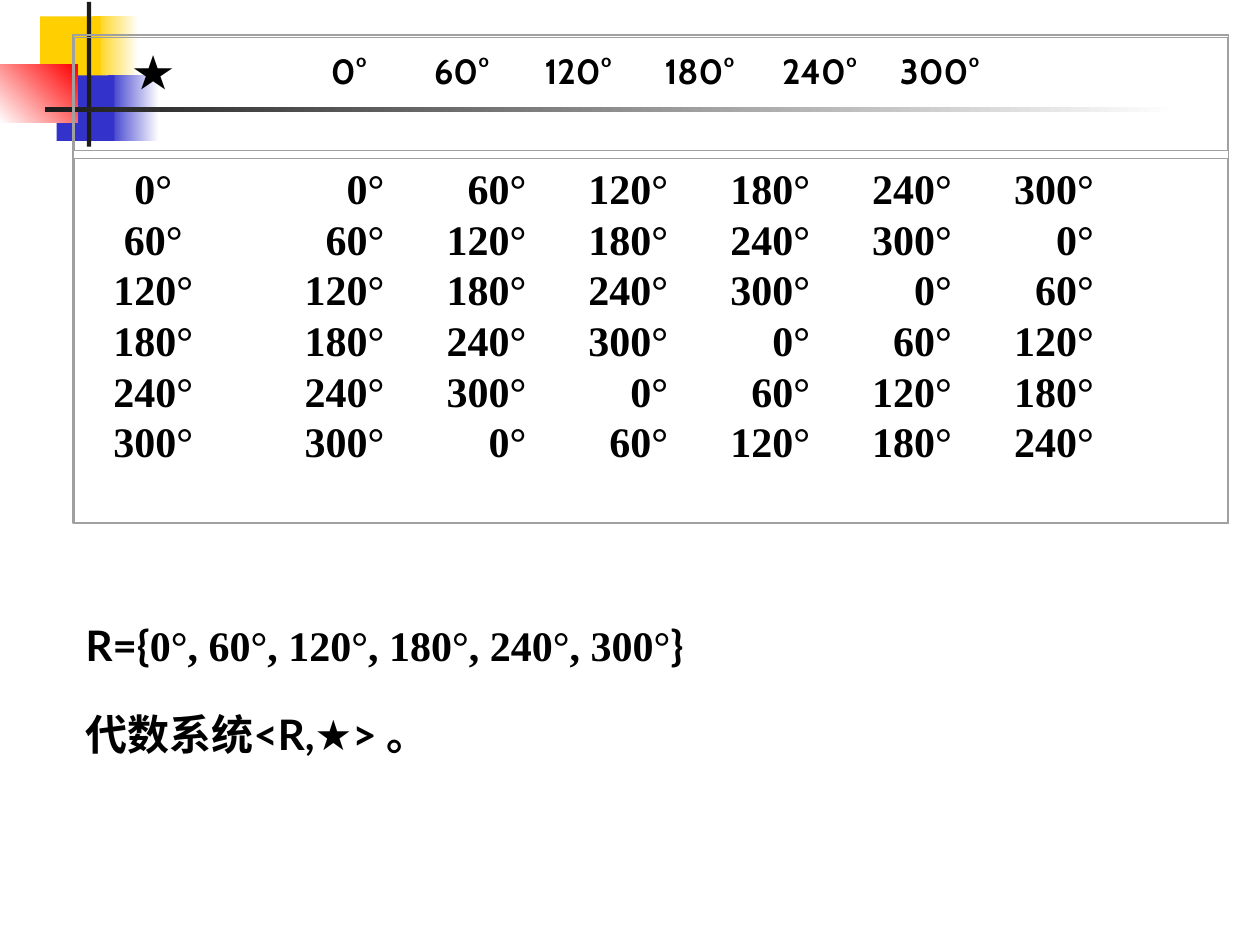
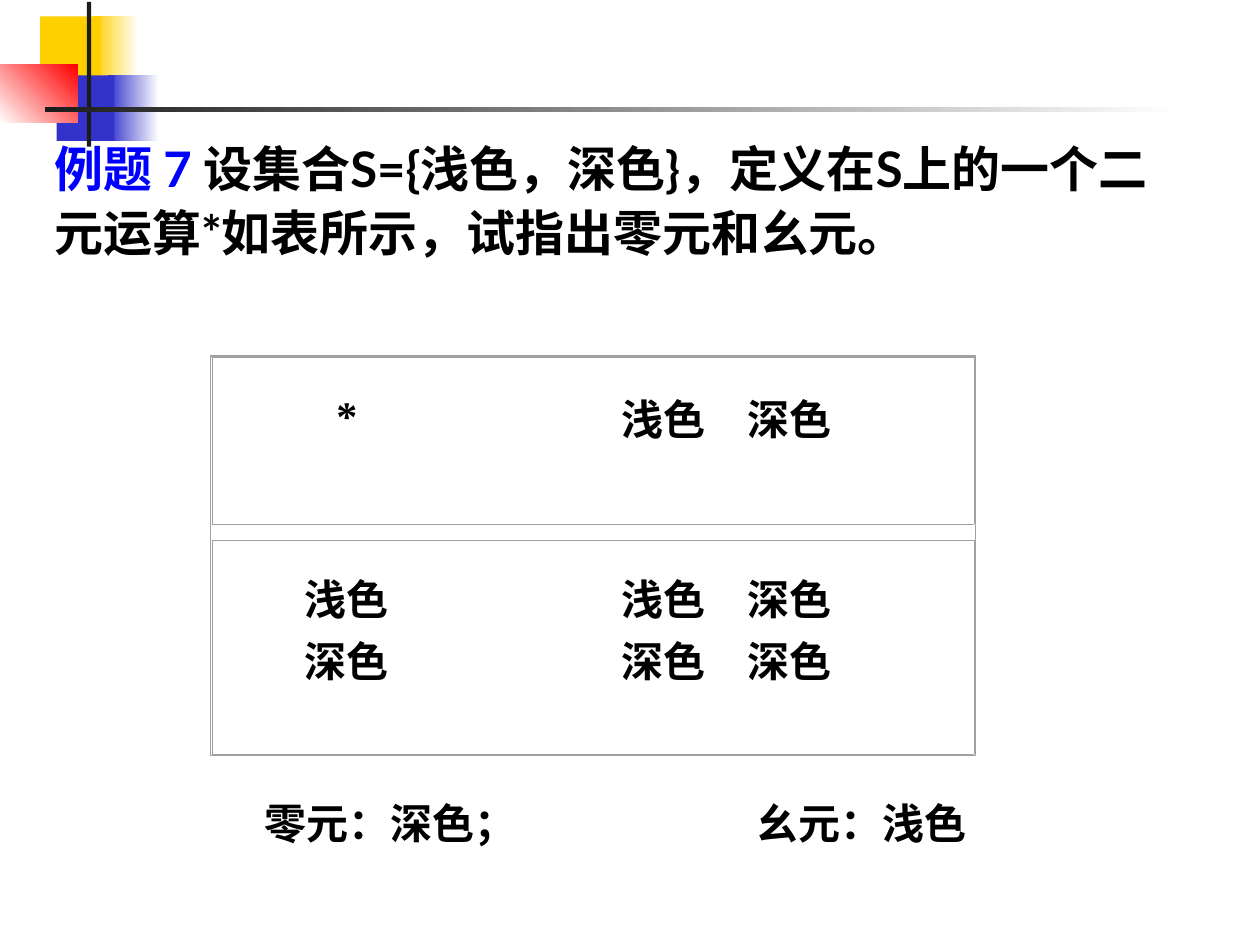
from dataclasses import dataclass

from lxml import etree
from pptx import Presentation
from pptx.dml.color import RGBColor
from pptx.enum.shapes import MSO_SHAPE
from pptx.enum.text import MSO_ANCHOR, MSO_AUTO_SIZE, PP_ALIGN
from pptx.oxml.ns import qn
from pptx.util import Cm, Pt

RECT = MSO_SHAPE.RECTANGLE
TOP, MIDDLE = MSO_ANCHOR.TOP, MSO_ANCHOR.MIDDLE
LEFT, CENTER, RIGHT = PP_ALIGN.LEFT, PP_ALIGN.CENTER, PP_ALIGN.RIGHT
NO_FIT = MSO_AUTO_SIZE.NONE

BLACK = RGBColor(0x00, 0x00, 0x00)
WHITE = RGBColor(0xFF, 0xFF, 0xFF)
YELLOW = RGBColor(0xFF, 0xCF, 0x01)
INDIGO = RGBColor(0x33, 0x33, 0xCC)
RED = RGBColor(0xFF, 0x00, 0x00)
INK = RGBColor(0x1C, 0x1C, 0x1C)
BLUE = RGBColor(0x00, 0x00, 0xFF)
GREY = RGBColor(0xA0, 0xA0, 0xA0)

SERIF, SANS, ROUND = "Times New Roman", "Lato", "Cabin"

ORNAMENT = [
    ((1.88, 0.33, 0.91, 1.32), (YELLOW, WHITE), 0),
    ((2.18, 1.52, 1.02, 1.32), (INDIGO, WHITE), 0),
    ((0.81, 0.33, 1.22, 1.32), (YELLOW,), 0),
    ((1.14, 1.52, 1.17, 1.32), (INDIGO,), 0),
    ((0, 1.31, 1.56, 1.17), (WHITE, RED), 45),
    ((1.75, 0.04, 0.09, 2.92), (INK,), 0),
    ((0.91, 2.16, 22.86, 0.09), (INK, WHITE), 0),
]


@dataclass
class Band:
    """Rows of an operation table, with their spacing and column rule in cm."""
    rows: list
    lead: float
    pitch: float
    tail: float
    first_edge: float
    column: float
    font: str = SERIF
    size: int = 24

    @property
    def height(self):
        """Return the full height of the band."""
        return self.lead + self.pitch * len(self.rows) + self.tail


def cm(box):
    """Turn a box in cm into lengths."""
    return [Cm(v) for v in box]


def add_run(p, text, font=SERIF, size=24, color=BLACK):
    """Add a bold run to a paragraph."""
    r = p.add_run()
    r.text = text
    r.font.name, r.font.size, r.font.bold = font, Pt(size), True
    r.font.color.rgb = color


def set_frame(sp, box):
    """Place a text shape and make its text wrap from the top."""
    sp.left, sp.top, sp.width, sp.height = cm(box)
    tf = sp.text_frame
    tf.word_wrap, tf.auto_size, tf.vertical_anchor = True, NO_FIT, TOP
    return tf


def add_ornament(s):
    """Draw the coloured squares and crossing bars of the theme."""
    for box, colors, angle in ORNAMENT:
        sp = s.shapes.add_shape(RECT, *cm(box))
        sp.shadow.inherit = False
        sp.line.fill.background()
        if len(colors) == 1:
            sp.fill.solid()
            sp.fill.fore_color.rgb = colors[0]
            continue
        sp.fill.gradient()
        sp.fill.gradient_angle = angle
        for stop, color in zip(sp.fill.gradient_stops, colors):
            stop.color.rgb = color


def set_borders(cell, visible):
    """Draw hairlines on the visible sides of a cell and clear the others."""
    tcPr = cell._tc.get_or_add_tcPr()
    for i, side in enumerate("LRTB"):
        ln = etree.Element(qn(f"a:ln{side}"), w=str(Pt(0.25)))
        if side in visible:
            fill = etree.SubElement(ln, qn("a:solidFill"))
            etree.SubElement(fill, qn("a:srgbClr"), val=str(GREY))
        else:
            etree.SubElement(ln, qn("a:noFill"))
        tcPr.insert(i, ln)


def add_band(s, left, top, width, stub, band):
    """Add one band as a table with a centred stub and right-aligned values."""
    n_rows, n_cols = len(band.rows), len(band.rows[0])
    table = s.shapes.add_table(n_rows, n_cols, *cm((left, top, width, band.height))).table
    table.first_row = table.horz_banding = False
    rest = width - band.first_edge - band.column * (n_cols - 2)
    widths = [stub, band.first_edge - stub] + [band.column] * (n_cols - 2)
    widths[-1] += rest
    for column, w in zip(table.columns, widths):
        column.width = Cm(w)
    for i, values in enumerate(band.rows):
        first, last = i == 0, i == n_rows - 1
        lead, tail = band.lead * first, band.tail * last
        table.rows[i].height = Cm(lead + band.pitch + tail)
        for j, value in enumerate(values):
            cell = table.cell(i, j)
            cell.fill.background()
            cell.vertical_anchor = MIDDLE
            cell.margin_left = 0
            cell.margin_right = Cm(rest if j == n_cols - 1 else 0)
            cell.margin_top, cell.margin_bottom = Cm(lead), Cm(tail)
            set_borders(cell, "L" * (j == 0) + "R" * (j in (0, n_cols - 1))
                        + "T" * first + "B" * last)
            p = cell.text_frame.paragraphs[0]
            p.alignment = RIGHT if j else CENTER
            if j:
                add_run(p, value, band.font, band.size)
            else:
                add_run(p, value)


def add_operation_table(s, left, top, width, stub, gap, header, body):
    """Stack header and body bands inside a thin frame."""
    add_band(s, left, top, width, stub, header)
    add_band(s, left, top + header.height + gap, width, stub, body)
    height = header.height + gap + body.height
    sp = s.shapes.add_shape(RECT, *cm((left - 0.03, top - 0.03, width + 0.06, height + 0.06)))
    sp.shadow.inherit = False
    sp.fill.background()
    sp.line.color.rgb, sp.line.width = GREY, Pt(0.88)


def add_statements(s, box):
    """Fill the body placeholder with the set and its algebraic system."""
    tf = set_frame(s.placeholders[1], box)
    lines = [
        [("R={", SANS), ("0°, 60°, 120°, 180°, 240°, 300°", SERIF), ("}", SANS)],
        [("代数系统<R,★> 。", SANS)],
    ]
    for i, runs in enumerate(lines):
        p = tf.add_paragraph() if i else tf.paragraphs[0]
        pPr = p._p.get_or_add_pPr()
        pPr.set("marL", "0")
        pPr.set("indent", "0")
        etree.SubElement(pPr, qn("a:buNone"))
        p.line_spacing, p.space_before = 1.25, Pt(15 * i)
        for text, font in runs:
            add_run(p, text, font)


def add_problem(s, box):
    """Set the problem in the title placeholder."""
    p = set_frame(s.shapes.title, box).paragraphs[0]
    p.alignment, p.line_spacing = LEFT, 1.1
    add_run(p, "例题 7 ", SANS, 28, BLUE)
    add_run(p, "设集合S={浅色，深色}，定义在S上的一个二元运算*如表所示，试指出零元和幺元。",
            SANS, 28)


def add_answers(s, box, tab):
    """Write the two answers on one line, the second at a tab stop."""
    tf = set_frame(s.shapes.add_textbox(*cm(box)), box)
    p = tf.paragraphs[0]
    tabs = etree.SubElement(p._p.get_or_add_pPr(), qn("a:tabLst"))
    etree.SubElement(tabs, qn("a:tab"), pos=str(Cm(tab)), algn="l")
    add_run(p, "零元：深色；\t幺元：浅色", ROUND)


def rotation_slide(prs):
    """Build the table of composed rotations."""
    s = prs.slides.add_slide(prs.slide_layouts[1])
    title = s.shapes.title._element
    title.getparent().remove(title)
    add_ornament(s)
    angles = range(0, 360, 60)
    header = Band([["★"] + [f"{a}°" for a in angles]],
                  0.2, 1.02, 1.07, 5.9, 2.47, ROUND, 20)
    body = Band([[f"{a}°"] + [f"{(a + b) % 360}°" for b in angles] for a in angles],
                0.15, 1.02, 1.07, 6.25, 2.86)
    add_operation_table(s, 1.5, 0.74, 23.24, 3.18, 0.15, header, body)
    add_statements(s, (1.47, 12.1, 21.59, 3.3))


def shade_slide(prs):
    """Build the example on zero and identity elements."""
    s = prs.slides.add_slide(prs.slide_layouts[5])
    add_ornament(s)
    add_problem(s, (0.84, 2.54, 23.29, 2.87))
    light, dark = "浅色", "深色"
    header = Band([["*", light, dark]], 0.51, 1.4, 1.44, 9.96, 2.54)
    body = Band([[light, light, dark], [dark, dark, dark]], 0.53, 1.24, 1.3, 9.96, 2.54)
    add_operation_table(s, 4.27, 7.21, 15.37, 5.44, 0.33, header, body)
    add_answers(s, (5.08, 15.95, 14.86, 1.27), 9.93)


def main():
    """Build and save the deck."""
    prs = Presentation()
    prs.slide_width, prs.slide_height = Cm(25.4), Cm(19.05)
    rotation_slide(prs)
    shade_slide(prs)
    prs.save("out.pptx")


if __name__ == "__main__":
    main()
